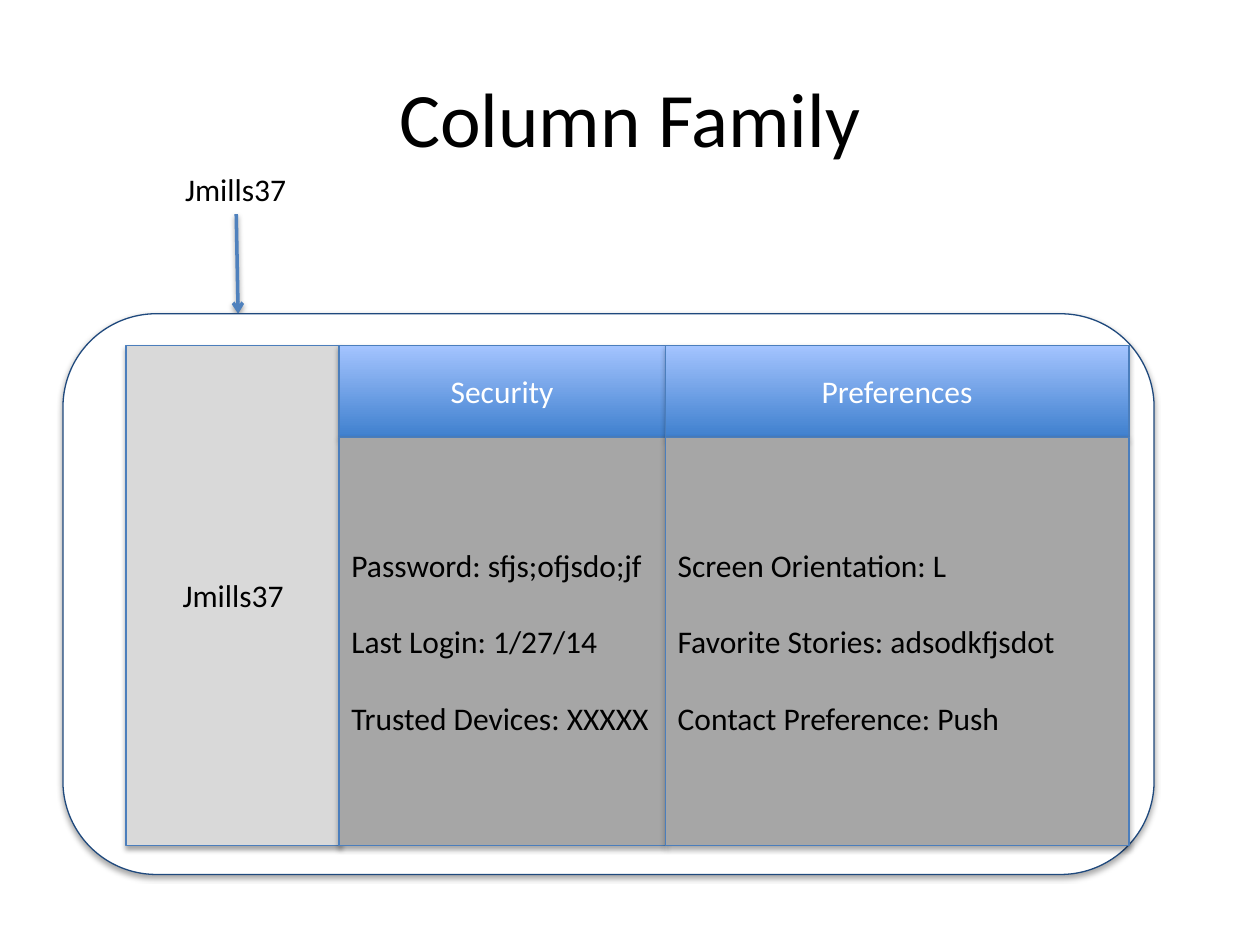
"""Build the Column Family slide: a keyed row with two column families."""
from dataclasses import dataclass
from typing import Optional

from pptx import Presentation
from pptx.dml.color import RGBColor
from pptx.enum.shapes import MSO_CONNECTOR, MSO_SHAPE
from pptx.enum.text import MSO_ANCHOR as Anchor, PP_ALIGN as Align
from pptx.oxml import parse_xml
from pptx.oxml.ns import nsdecls
from pptx.util import Inches, Pt

BLACK = RGBColor(0x00, 0x00, 0x00)
WHITE = RGBColor(0xFF, 0xFF, 0xFF)
NAVY = RGBColor(0x1F, 0x49, 0x7D)
ARROW_BLUE = RGBColor(0x4F, 0x81, 0xBD)
BORDER_BLUE = RGBColor(0x4B, 0x7E, 0xBC)
HEADER_DARK = RGBColor(0x3F, 0x80, 0xCE)
HEADER_LIGHT = RGBColor(0xA4, 0xC4, 0xFF)
KEY_GRAY = RGBColor(0xD9, 0xD9, 0xD9)
BODY_GRAY = RGBColor(0xA6, 0xA6, 0xA6)

FONT = "Calibri"
ROW_KEY = "Jmills37"
KEY_LEFT, KEY_WIDTH = 1.0, 1.7
TABLE_TOP, HEADER_HEIGHT, BODY_HEIGHT = 2.74, 0.73, 3.24


@dataclass(frozen=True)
class Box:
    left: float
    top: float
    width: float
    height: float

    def lengths(self) -> tuple:
        return tuple(map(Inches, (self.left, self.top, self.width, self.height)))


@dataclass(frozen=True)
class Family:
    name: str
    left: float
    width: float
    entries: tuple


FAMILIES = (
    Family("Security", 2.69, 2.59,
           ("Password: sfjs;ofjsdo;jf", "Last Login: 1/27/14", "Trusted Devices: XXXXX")),
    Family("Preferences", 5.28, 3.68,
           ("Screen Orientation: L", "Favorite Stories: adsodkfjsdot",
            "Contact Preference: Push")),
)


def add_shadow(shape, distance: float = 1.8, opacity: int = 35) -> None:
    shape._element.spPr.append(parse_xml(
        f'<a:effectLst {nsdecls("a")}><a:outerShdw blurRad="{Pt(3.1)}" '
        f'dist="{Pt(distance)}" dir="5400000" rotWithShape="0"><a:srgbClr val="{BLACK}">'
        f'<a:alpha val="{opacity * 1000}"/></a:srgbClr></a:outerShdw></a:effectLst>'))


def write_lines(shape, lines: tuple, align: Align, color: RGBColor = BLACK,
                size: int = 18, anchor: Anchor = Anchor.MIDDLE) -> None:
    text_frame = shape.text_frame
    text_frame.text = "\n".join(lines)
    text_frame.vertical_anchor = anchor
    for index, paragraph in enumerate(text_frame.paragraphs):
        paragraph.alignment = align
        paragraph.space_before = Pt(22 if index else 0)
        font = paragraph.runs[0].font
        font.name, font.size, font.color.rgb = FONT, Pt(size), color


def add_panel(slide, box: Box, fill: Optional[RGBColor], border: RGBColor = BORDER_BLUE,
              kind: MSO_SHAPE = MSO_SHAPE.RECTANGLE):
    """Add a shadowed panel; without a fill colour it gets the header gradient."""
    shape = slide.shapes.add_shape(kind, *box.lengths())
    if fill is None:
        shape.fill.gradient()
        shape.fill.gradient_angle = 90
        for stop, color in zip(shape.fill.gradient_stops, (HEADER_DARK, HEADER_LIGHT)):
            stop.color.rgb = color
    else:
        shape.fill.solid()
        shape.fill.fore_color.rgb = fill
    shape.line.color.rgb = border
    shape.line.width = Pt(0.75)
    add_shadow(shape)
    return shape


def add_arrow(slide, label) -> None:
    arrow = slide.shapes.add_connector(
        MSO_CONNECTOR.STRAIGHT, Inches(1.87), Inches(1.7), Inches(1.89), Inches(2.49))
    arrow.begin_connect(label, 2)
    arrow.line.color.rgb = ARROW_BLUE
    arrow.line.width = Pt(2)
    arrow.line._get_or_add_ln().append(
        parse_xml(f'<a:tailEnd {nsdecls("a")} type="arrow"/>'))
    add_shadow(arrow, 1.6, 38)


def add_family(slide, family: Family) -> None:
    header = add_panel(
        slide, Box(family.left, TABLE_TOP, family.width, HEADER_HEIGHT), None)
    write_lines(header, (family.name,), Align.CENTER, WHITE)
    body = add_panel(slide, Box(family.left, TABLE_TOP + HEADER_HEIGHT,
                                family.width, BODY_HEIGHT), BODY_GRAY)
    write_lines(body, family.entries, Align.LEFT)


def main() -> None:
    presentation = Presentation()
    presentation.slide_width, presentation.slide_height = Inches(10), Inches(7.5)
    slide = presentation.slides.add_slide(presentation.slide_layouts[6])

    title = slide.shapes.add_textbox(*Box(0.5, 0.3, 9, 1.25).lengths())
    title.text_frame.word_wrap = True
    write_lines(title, ("Column Family",), Align.CENTER, size=44)

    label = slide.shapes.add_textbox(*Box(1.37, 1.3, 1.01, 0.4).lengths())
    write_lines(label, (ROW_KEY,), Align.LEFT, anchor=Anchor.TOP)
    add_arrow(slide, label)

    add_panel(slide, Box(0.5, 2.49, 8.66, 4.45), WHITE, NAVY, MSO_SHAPE.ROUNDED_RECTANGLE)
    key = add_panel(slide, Box(KEY_LEFT, TABLE_TOP, KEY_WIDTH,
                               HEADER_HEIGHT + BODY_HEIGHT), KEY_GRAY)
    write_lines(key, (ROW_KEY,), Align.CENTER)
    for family in FAMILIES:
        add_family(slide, family)

    presentation.save("out.pptx")


if __name__ == "__main__":
    main()
